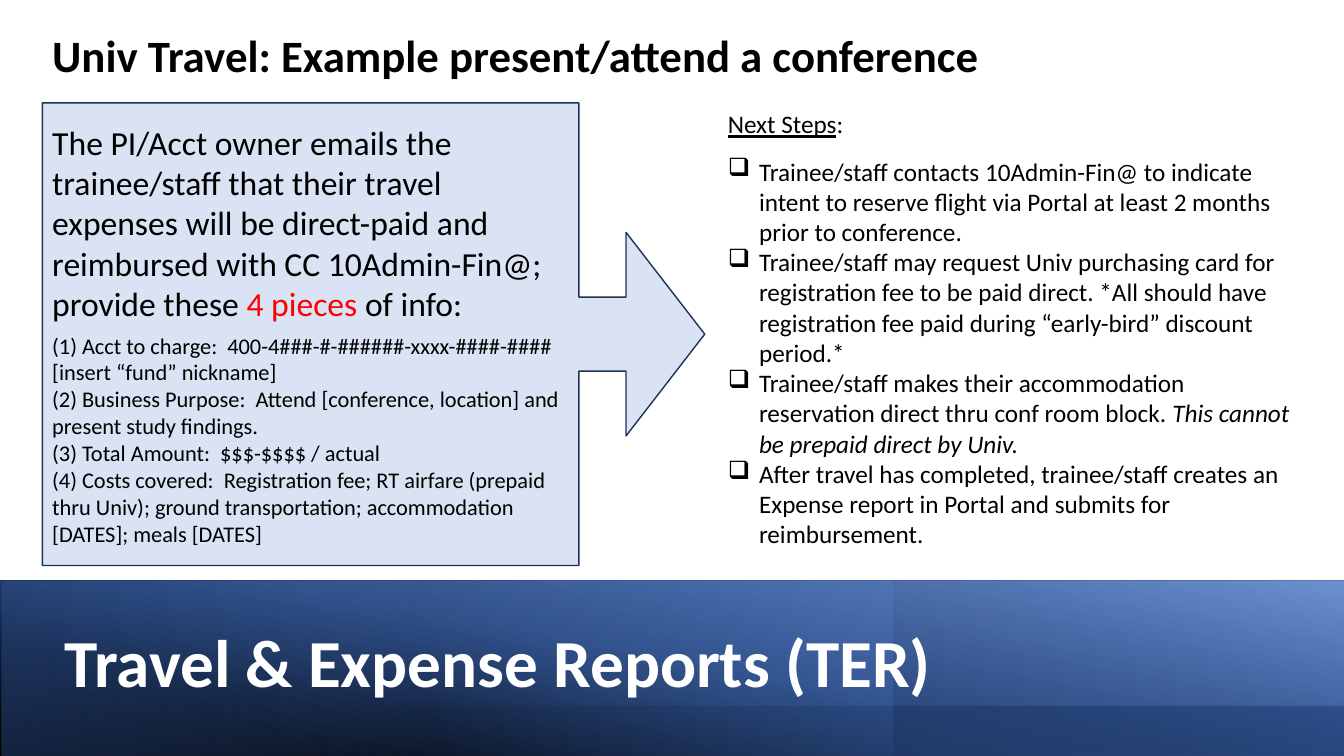
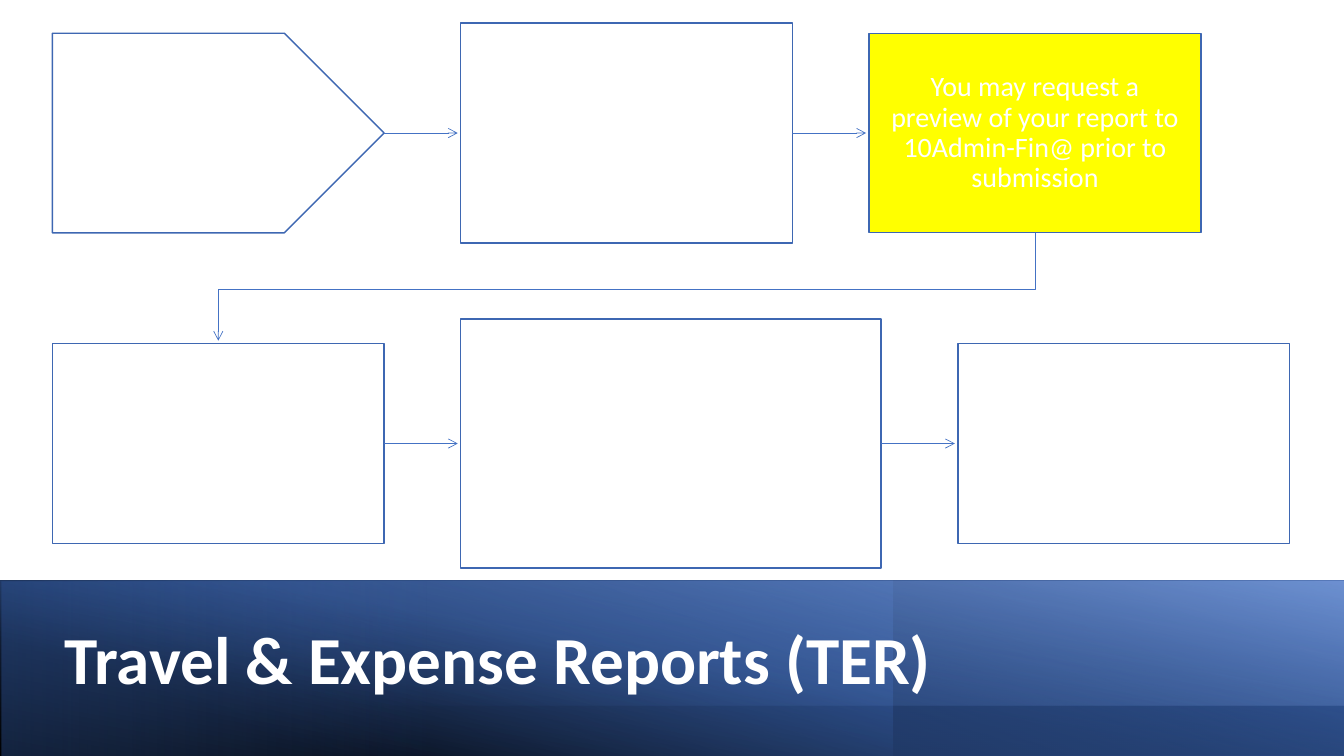
from dataclasses import dataclass
from lxml.etree import SubElement
from pptx import Presentation
from pptx.dml.color import RGBColor
from pptx.enum.shapes import MSO_CONNECTOR, MSO_SHAPE
from pptx.enum.text import MSO_ANCHOR, MSO_AUTO_SIZE, PP_ALIGN
from pptx.oxml.ns import qn
from pptx.util import Inches, Pt


@dataclass(frozen=True)
class Theme:
    font: str = "Calibri"
    black: RGBColor = RGBColor.from_string("000000")
    white: RGBColor = RGBColor.from_string("FFFFFF")
    red: RGBColor = RGBColor.from_string("FF0000")
    yellow: RGBColor = RGBColor.from_string("FFFF00")
    pale_blue: RGBColor = RGBColor.from_string("DAE3F3")
    callout_edge: RGBColor = RGBColor.from_string("1E3256")
    step_edge: RGBColor = RGBColor.from_string("3E67B2")
    arrow: RGBColor = RGBColor.from_string("4472C4")
    title_size: Pt = Pt(48)
    heading_size: Pt = Pt(32)
    lead_size: Pt = Pt(24)
    step_size: Pt = Pt(20)
    list_size: Pt = Pt(18)
    detail_size: Pt = Pt(16)


theme = Theme()

bands = [
    ((0, 5.76, 13.33, 1.74), True, 0, 260, [(0, "000000", 100), (54, "203864", 100)]),
    ((-0.02, 5.76, 13.35, 1.74), True, 0, 250, [(18, "2F5597", 0), (100, "4472C4", 100)]),
    ((8.86, 5.76, 4.48, 1.74), True, 0, 260, [(23, "203864", 61), (100, "203864", 0)]),
    ((-0.01, 5.76, 13.34, 1.24), False, 0, 280, [(18, "4472C4", 0), (100, "8FAADC", 56)]),
    ((0.02, 5.77, 8.46, 1.74), False, 180, 0, [(50, "4472C4", 0), (100, "2F5597", 41)]),
]


def write(paragraph, size, color, *runs):
    paragraph.font.name = theme.font
    paragraph.font.size = size
    paragraph.font.color.rgb = color
    for text in runs:
        paragraph.add_run().text = text
    return paragraph


def add_box(slide, preset, left, top, width, height, fill, edge, edge_width):
    box = slide.shapes.add_shape(preset, Inches(left), Inches(top), Inches(width), Inches(height))
    box.shadow.inherit = False
    box.fill.solid()
    box.fill.fore_color.rgb = fill
    box.line.color.rgb = edge
    box.line.width = edge_width
    box.text_frame.word_wrap = True
    box.text_frame.vertical_anchor = MSO_ANCHOR.MIDDLE
    return box


deck = Presentation()
deck.slide_width = Inches(13.33)
deck.slide_height = Inches(7.5)

slides = []
for title_top in (6.07, 6.04):
    slide = deck.slides.add_slide(deck.slide_layouts[5])
    for place, flipped, rotation, angle, stops in bands:
        band = add_box(slide, MSO_SHAPE.RECTANGLE, *place, theme.white, theme.white, Pt(1))
        band.line.fill.background()
        band.rotation = rotation
        band.fill.gradient()
        gradient = band.fill._fill._gradFill
        gradient.clear()
        gradient.set("rotWithShape", "1")
        stop_list = SubElement(gradient, qn("a:gsLst"))
        for position, color, opacity in stops:
            stop = SubElement(stop_list, qn("a:gs"), pos=str(position * 1000))
            tint = SubElement(stop, qn("a:srgbClr"), val=color)
            SubElement(tint, qn("a:alpha"), val=str(opacity * 1000))
        SubElement(gradient, qn("a:lin"), ang=str(angle * 60000), scaled="0")
        if flipped:
            band._element.spPr.xfrm.set("flipH", "1")

    title = slide.shapes.title
    title._element.getparent().append(title._element)
    title.left, title.top = Inches(0.54), Inches(title_top)
    title.width, title.height = Inches(10.56), Inches(1.07)
    title.text_frame.auto_size = MSO_AUTO_SIZE.NONE
    title.text_frame.vertical_anchor = MSO_ANCHOR.MIDDLE
    title_line = write(title.text_frame.paragraphs[0], theme.title_size, theme.white,
                       "Travel & Expense Reports (TER)")
    title_line.font.bold = True
    title_line.alignment = PP_ALIGN.LEFT
    title_line.line_spacing = 0.9
    slides.append(slide)

conference, report_flow = slides

heading = conference.shapes.add_textbox(Inches(0.42), Inches(0.23), Inches(12.5), Inches(0.64))
heading.text_frame.word_wrap = True
write(heading.text_frame.paragraphs[0], theme.heading_size, theme.black,
      "Univ Travel: Example present/attend a conference").font.bold = True

email = add_box(conference, MSO_SHAPE.RIGHT_ARROW_CALLOUT, 0.42, 1.02, 6.57, 4.59,
                theme.pale_blue, theme.callout_edge, Pt(1))
for index, amount in enumerate((0.16, 0.22, 0.17, 0.81)):
    email.adjustments[index] = amount
lead = write(
    email.text_frame.paragraphs[0], theme.lead_size, theme.black,
    "The PI/Acct owner emails the trainee/staff that their travel expenses will be "
    "direct-paid and reimbursed with CC 10Admin-Fin@; provide these ",
    "4 pieces", " of info:")
lead.runs[1].font.color.rgb = theme.red
lead.alignment = PP_ALIGN.LEFT
lead.space_after = Pt(6)
for detail in (
    "(1) Acct to charge:  400-4###-#-######-xxxx-####-#### [insert “fund” nickname]",
    "(2) Business Purpose:  Attend [conference, location] and present study findings.",
    "(3) Total Amount:  $$$-$$$$ / actual",
    "(4) Costs covered:  Registration fee; RT airfare (prepaid thru Univ); ground "
    "transportation; accommodation [DATES]; meals [DATES]",
):
    detail_line = write(email.text_frame.add_paragraph(), theme.detail_size, theme.black, detail)
    detail_line.alignment = PP_ALIGN.LEFT

next_steps = conference.shapes.add_textbox(Inches(7.12), Inches(1.03), Inches(5.79), Inches(4.58))
next_steps.text_frame.word_wrap = True
label = write(next_steps.text_frame.paragraphs[0], theme.list_size, theme.black, "Next Steps", ":")
label.runs[0].font.underline = True
label.space_after = Pt(12)
for runs in (
    ["Trainee/staff contacts 10Admin-Fin@ to indicate intent to reserve flight via Portal "
     "at least 2 months prior to conference."],
    ["Trainee/staff may request Univ purchasing card for registration fee to be paid direct. "
     "*All should have registration fee paid during “early-bird” discount period.*"],
    ["Trainee/staff makes their accommodation reservation direct thru conf room block. ",
     "This cannot be prepaid direct by Univ."],
    ["After travel has completed, trainee/staff creates an Expense report in Portal and "
     "submits for reimbursement."],
):
    task = write(next_steps.text_frame.add_paragraph(), theme.list_size, theme.black, *runs)
    for emphasis in task.runs[1:]:
        emphasis.font.italic = True
    indents = task._p.get_or_add_pPr()
    indents.set("marL", str(Inches(0.31)))
    indents.set("indent", str(-Inches(0.31)))
    bullet = SubElement(indents, qn("a:buChar"), char="❑")
    indents.find(qn("a:defRPr")).addprevious(bullet)

step_gap = 0.76
arrow_clearance = 0.03
pentagon, rectangle = MSO_SHAPE.PENTAGON, MSO_SHAPE.RECTANGLE
step_rows = [
    (1.32, [(pentagon, 3.29, 1.98, theme.white), (rectangle, 3.29, 2.18, theme.white),
            (rectangle, 3.29, 1.98, theme.yellow)]),
    (4.4, [(rectangle, 3.29, 1.98, theme.white), (rectangle, 4.17, 2.47, theme.white),
           (rectangle, 3.29, 1.98, theme.white)]),
]
steps = []
arrows = []
for middle, row in step_rows:
    left = 0.52
    for column, (preset, width, height, fill) in enumerate(row):
        steps.append(add_box(report_flow, preset, left, middle - height / 2, width, height,
                             fill, theme.step_edge, Pt(1)))
        if column:
            arrow = report_flow.shapes.add_connector(
                MSO_CONNECTOR.STRAIGHT, Inches(left - step_gap), Inches(middle),
                Inches(left - arrow_clearance), Inches(middle))
            arrow.begin_connect(steps[-2], 3)
            arrows.append(arrow)
        left += width + step_gap

preview, next_row = steps[2], steps[3]
preview_frame = preview.text_frame
preview_frame.margin_left = preview_frame.margin_right = Inches(0.16)
preview_frame.margin_top = preview_frame.margin_bottom = Inches(0.16)
preview_line = write(preview_frame.paragraphs[0], theme.step_size, theme.white,
                     "You may request a preview of your report to 10Admin-Fin@ prior to submission")
preview_line.alignment = PP_ALIGN.CENTER
preview_line.line_spacing = 0.9

start_x = preview.left + preview.width // 2
start_y = preview.top + preview.height
end_x = next_row.left + next_row.width // 2
end_y = next_row.top - Inches(arrow_clearance)
span, drop = start_x - end_x, end_y - start_y
center_x, center_y = (start_x + end_x) // 2, (start_y + end_y) // 2
row_turn = report_flow.shapes.add_connector(
    MSO_CONNECTOR.ELBOW, center_x - drop // 2, center_y - span // 2,
    center_x + drop // 2, center_y + span // 2)
row_turn._element.spPr.xfrm.set("rot", str(90 * 60000))
bend = row_turn._element.spPr.find(qn("a:prstGeom")).get_or_add_avLst()
SubElement(bend, qn("a:gd"), name="adj1", fmla="val 52000")
arrows.append(row_turn)

for arrow in arrows:
    arrow.line.color.rgb = theme.arrow
    arrow.line.width = Pt(0.5)
    SubElement(arrow.line._get_or_add_ln(), qn("a:tailEnd"), type="arrow")
    SubElement(arrow._element.spPr, qn("a:effectLst"))

deck.save("out.pptx")
